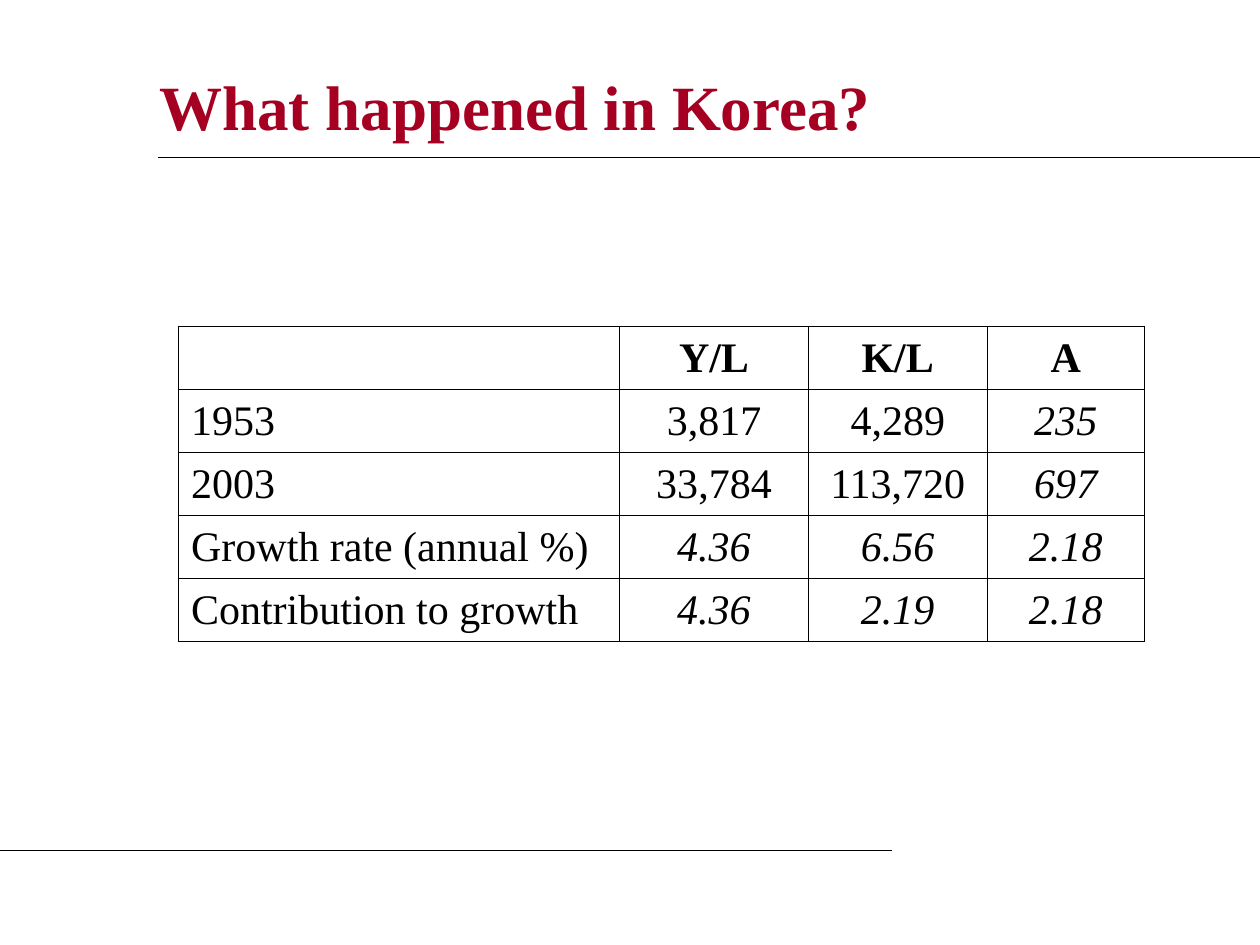
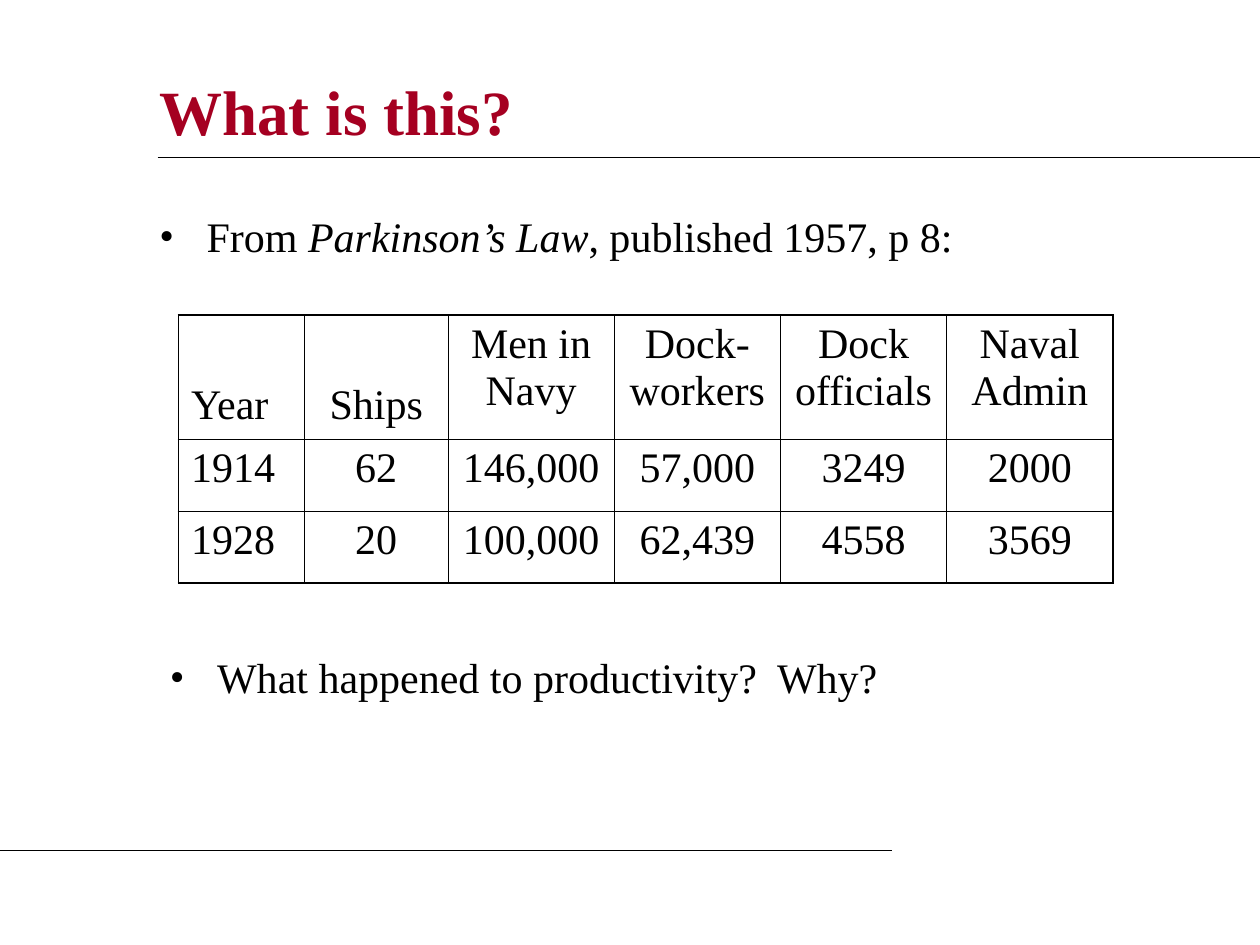
from dataclasses import dataclass

from lxml.etree import SubElement
from pptx import Presentation
from pptx.dml.color import RGBColor
from pptx.enum.text import MSO_ANCHOR as Anchor, PP_ALIGN as Align
from pptx.enum.shapes import MSO_CONNECTOR as Connector
from pptx.oxml import parse_xml
from pptx.oxml.ns import nsdecls, qn
from pptx.util import Pt


@dataclass(frozen=True)
class Theme:
    font: str = "Times New Roman"
    title_color: RGBColor = RGBColor(0xA5, 0x00, 0x21)
    ink: RGBColor = RGBColor(0, 0, 0)
    title_size: float = 36
    body_size: float = 24
    rule_width: float = 0.75
    outer_border: float = 1.08
    inner_border: float = 0.45
    bullet_indent: float = 27
    bullet_inset: float = 6.5


class Deck:
    def __init__(self, theme):
        self.theme = theme
        self.deck = Presentation()
        self.deck.slide_width, self.deck.slide_height = Pt(720), Pt(540)
        self.slide = None

    def start_slide(self, title, top, width, height):
        self.slide = self.deck.slides.add_slide(self.deck.slide_layouts[6])
        frame = self.text_frame(84, top, width, height)
        frame.vertical_anchor = Anchor.MIDDLE
        self.add_runs(frame.paragraphs[0], [(title, "b")],
                      self.theme.title_size, self.theme.title_color)
        self.rule(90, 720, 90)
        self.rule(0, 510, 486)

    def text_frame(self, left, top, width, height):
        box = self.slide.shapes.add_textbox(Pt(left), Pt(top), Pt(width), Pt(height))
        box.text_frame.word_wrap = True
        return box.text_frame

    def add_runs(self, paragraph, runs, size=None, color=None):
        for text, style in runs:
            run = paragraph.add_run()
            run.text = text
            run.font.name = self.theme.font
            run.font.size = Pt(size or self.theme.body_size)
            run.font.color.rgb = color or self.theme.ink
            run.font.bold = style == "b"
            run.font.italic = style == "i"

    def rule(self, start, end, y):
        rule = self.slide.shapes.add_connector(
            Connector.STRAIGHT, Pt(start), Pt(y), Pt(end), Pt(y))
        rule.line.color.rgb = self.theme.ink
        rule.line.width = Pt(self.theme.rule_width)
        SubElement(rule._element.spPr, qn("a:effectLst"))

    def bullet(self, left, top, runs):
        frame = self.text_frame(left, top, 582, 48)
        frame.margin_top = Pt(self.theme.bullet_inset)
        paragraph = frame.paragraphs[0]
        props = paragraph._p.get_or_add_pPr()
        indent = Pt(self.theme.bullet_indent)
        props.set("marL", str(indent))
        props.set("indent", str(-indent))
        SubElement(props, qn("a:buFont"), typeface=self.theme.font)
        SubElement(props, qn("a:buChar"), char="•")
        self.add_runs(paragraph, runs)

    def table(self, left, top, widths, heights, rows, anchor):
        table = self.slide.shapes.add_table(
            len(heights), len(widths), Pt(left), Pt(top),
            Pt(sum(widths)), Pt(sum(heights))).table
        table.first_row = table.horz_banding = False
        for column, width in zip(table.columns, widths):
            column.width = Pt(width)
        for r, (row, height) in enumerate(zip(rows, heights)):
            table.rows[r].height = Pt(height)
            for c, (text, style) in enumerate(row):
                cell = table.cell(r, c)
                cell.fill.background()
                cell.vertical_anchor = anchor
                paragraph = cell.text_frame.paragraphs[0]
                paragraph.alignment = Align.CENTER if c else Align.LEFT
                if text:
                    self.add_runs(paragraph, [(text, style)])
                self.borders(cell, {"L": c == 0, "R": c == len(widths) - 1,
                                    "T": r == 0, "B": r == len(heights) - 1})
        return table

    def borders(self, cell, outer_sides):
        props = cell._tc.get_or_add_tcPr()
        for place, (side, outer) in enumerate(outer_sides.items()):
            width = self.theme.outer_border if outer else self.theme.inner_border
            props.insert(place, parse_xml(
                f'<a:ln{side} {nsdecls("a")} w="{Pt(width)}"><a:solidFill>'
                f'<a:srgbClr val="{self.theme.ink}"/></a:solidFill></a:ln{side}>'))

    def save(self):
        self.deck.save("out.pptx")


def styled(texts, style=""):
    return [(text, style) for text in texts]


def korea_slide(deck):
    deck.start_slide("What happened in Korea?", 18, 612, 84)
    growth_rows = [
        styled(["", "Y/L", "K/L", "A"], "b"),
        styled(["1953", "3,817", "4,289"]) + styled(["235"], "i"),
        styled(["2003", "33,784", "113,720"]) + styled(["697"], "i"),
        styled(["Growth rate (annual %)"]) + styled(["4.36", "6.56", "2.18"], "i"),
        styled(["Contribution to growth"]) + styled(["4.36", "2.19", "2.18"], "i"),
    ]
    deck.table(102, 186.5, [252, 108, 102, 90], [36] * 5, growth_rows, Anchor.MIDDLE)


def navy_slide(deck):
    deck.start_slide("What is this?", 36, 582, 54)
    deck.bullet(84, 114, [("From ", ""), ("Parkinson’s Law", "i"),
                          (", published 1957, p 8:", "")])
    navy_rows = [styled(row) for row in (
        ["Year", "Ships", "Men in Navy", "Dock-workers", "Dock officials", "Naval Admin"],
        ["1914", "62", "146,000", "57,000", "3249", "2000"],
        ["1928", "20", "100,000", "62,439", "4558", "3569"],
    )]
    navy = deck.table(102, 180, [72, 82] + [95] * 4, [71, 41, 41], navy_rows, Anchor.TOP)
    for column in range(2):
        heading = navy.cell(0, column)
        heading.vertical_anchor = Anchor.BOTTOM
        heading.margin_bottom = Pt(6.4)
    deck.bullet(90, 366, [("What happened to productivity?  Why?", "")])


def main():
    deck = Deck(Theme())
    korea_slide(deck)
    navy_slide(deck)
    deck.save()


if __name__ == "__main__":
    main()
